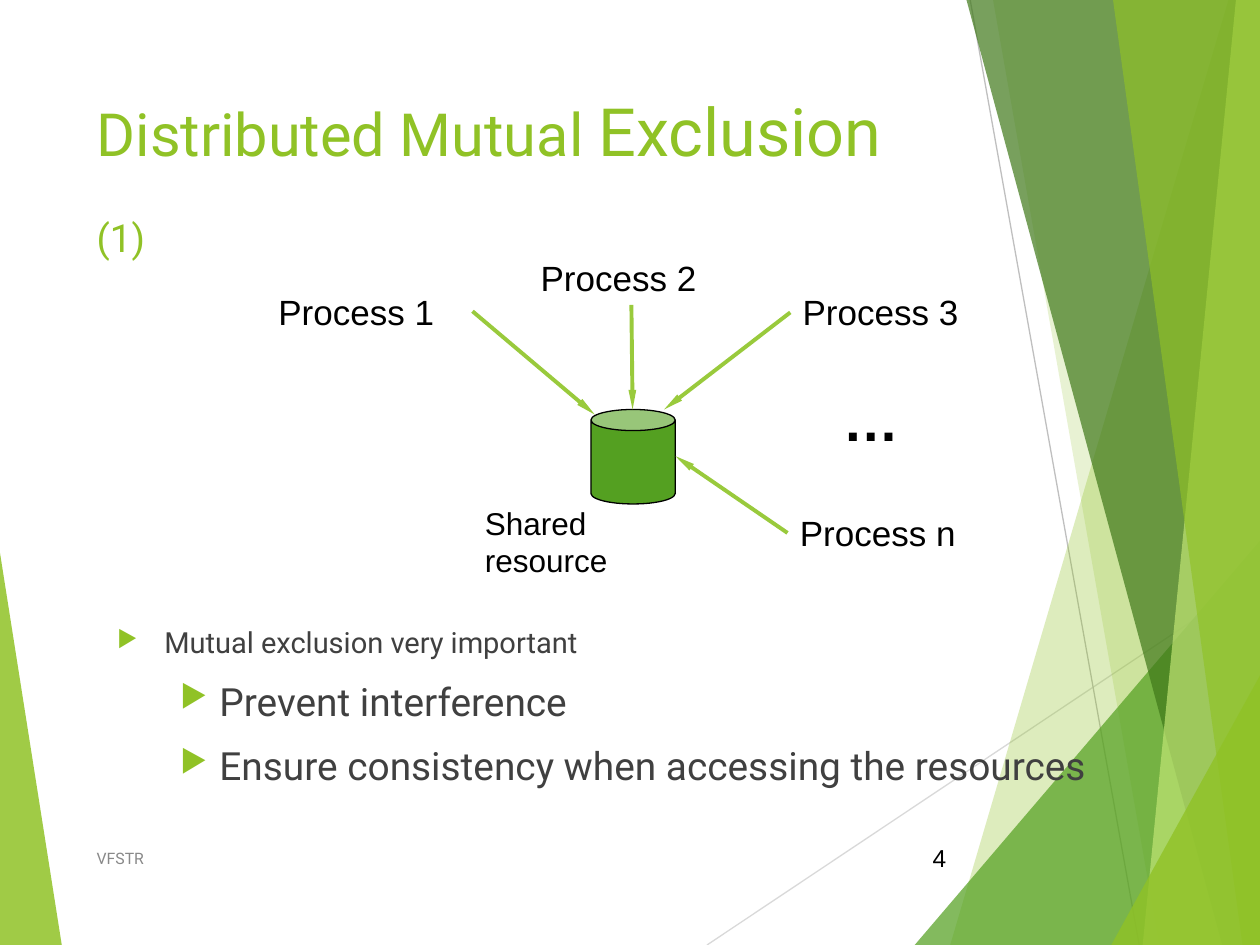
from lxml import etree
from pptx import Presentation
from pptx.dml.color import RGBColor
from pptx.enum.shapes import MSO_CONNECTOR, MSO_SHAPE
from pptx.enum.text import MSO_ANCHOR, MSO_AUTO_SIZE, PP_ALIGN
from pptx.oxml.ns import qn
from pptx.util import Pt

STRAIGHT = MSO_CONNECTOR.STRAIGHT
CAN = MSO_SHAPE.CAN
TOP, MIDDLE = MSO_ANCHOR.TOP, MSO_ANCHOR.MIDDLE
LEFT, RIGHT = PP_ALIGN.LEFT, PP_ALIGN.RIGHT
GROW, FIXED = MSO_AUTO_SIZE.SHAPE_TO_FIT_TEXT, MSO_AUTO_SIZE.NONE
LEFT_SIDE = 1

WIDTH, HEIGHT = 720, 540
GREEN, LEAF, BLACK = "90C226", "54A021", "000000"


def color(hex_string):
    return RGBColor.from_string(hex_string)


def add_format(run, size, font="Roboto", fill=BLACK, bold=False):
    run.font.size = Pt(size)
    run.font.name = font
    run.font.bold = bold
    run.font.color.rgb = color(fill)


def add_text(slide, text, box, wrap=True, anchor=TOP, align=LEFT, **run_format):
    """Place text, one paragraph a line; box is left, top, width, height."""
    shape = slide.shapes.add_textbox(*map(Pt, box))
    frame = shape.text_frame
    frame.word_wrap = wrap
    frame.auto_size = FIXED if wrap else GROW
    frame.vertical_anchor = anchor
    for index, line in enumerate(text.split("\n") if text else []):
        paragraph = frame.paragraphs[0] if index == 0 else frame.add_paragraph()
        paragraph.alignment = align
        run = paragraph.add_run()
        run.text = line
        add_format(run, **run_format)
    return shape


def add_line(slide, start, end, line_color, width, arrow=False):
    connector = slide.shapes.add_connector(STRAIGHT, *map(Pt, (*start, *end)))
    connector.line.color.rgb = color(line_color)
    connector.line.width = Pt(width)
    properties = connector._element.spPr
    if arrow:
        etree.SubElement(properties.find(qn("a:ln")), qn("a:tailEnd"),
                         type="triangle", w="sm", len="lg")
    etree.SubElement(properties, qn("a:effectLst"))
    return connector


def add_facet(slide, points, fill, opacity):
    corners = [(Pt(x), Pt(y)) for x, y in points]
    builder = slide.shapes.build_freeform(*corners[0], scale=1.0)
    builder.add_line_segments(corners[1:], close=True)
    shape = builder.convert_to_shape()
    shape.shadow.inherit = False
    shape.line.fill.background()
    shape.fill.solid()
    shape.fill.fore_color.rgb = color(fill)
    fill_element = shape._element.spPr.find(qn("a:solidFill"))
    etree.SubElement(fill_element[0], qn("a:alpha"), val=str(opacity * 1000))


def add_backdrop(slide, width, height):
    # Left wedge and thin lines
    add_facet(slide, [(0, 316), (35.3, height), (0, height)], GREEN, 85)
    add_line(slide, (404, height), (width, 329), "D9D9D9", 0.75)
    add_line(slide, (554.4, 0), (651, height), "BFBFBF", 0.75)

    # Bands from top to bottom: x at the top, x at the bottom
    def band(top_x, bottom_x, fill, opacity):
        add_facet(slide, [(top_x, 0), (bottom_x, height), (width, height),
                          (width, 0)], fill, opacity)

    # Triangles in the lower right corner: x at the bottom, y at the right
    def corner(bottom_x, right_y, fill, opacity):
        add_facet(slide, [(bottom_x, height), (width, right_y),
                          (width, height)], fill, opacity)

    band(702, 543, GREEN, 30)
    band(567.5, 662.5, GREEN, 20)
    corner(522.7, 309, LEAF, 72)
    band(552.3, 698.4, "3F7819", 70)
    band(706.3, 653, "C0E474", 70)
    band(636, 710, GREEN, 65)
    corner(635, 386, GREEN, 80)


def add_title(slide, box):
    shape = add_text(slide, "", box, anchor=MIDDLE)
    paragraph = shape.text_frame.paragraphs[0]
    for text, size in (("Distributed Mutual ", 34), ("Exclusion", 38), ("(1)", 38)):
        if text == "(1)":
            paragraph.add_line_break()
        run = paragraph.add_run()
        run.text = text
        add_format(run, size, fill=GREEN)
    run.font._element.set("baseline", "-25000")


def add_diagram(slide, box):
    left, top, width, height = box

    def label(text, x, y, w=103.7, h=31.7, **run_format):
        settings = {"size": 20, "font": "Arial", **run_format}
        return add_text(slide, text, (left + x, top + y, w, h), wrap=False, **settings)

    def arrow(start, end):
        return add_line(slide, (left + start[0], top + start[1]),
                        (left + end[0], top + end[1]), "99CA3C", 2.25, arrow=True)

    # Shared resource
    can = slide.shapes.add_shape(CAN, Pt(left + 185.7), Pt(top + 90.7), Pt(48.2), Pt(54))
    can.shadow.inherit = False
    can.adjustments[0] = 0.25
    can.fill.solid()
    can.fill.fore_color.rgb = color(LEAF)
    can.line.color.rgb = color(BLACK)
    can.line.width = Pt(0.75)
    label("Shared\nresource", 118, 141, 89.3, 50.4, size=18)

    # Processes
    label("Process 2", 149.8, 0)
    label("Process 1", 0, 19.4)
    third = label("Process 3", 299.6, 19.4)
    last = label("Process n", 298, 145.4)
    label("…", 322.6, 73.4, 46, 46, size=32, bold=True)

    # Requests to the resource
    arrow((299.6, 34.6), (227.5, 90.7)).begin_connect(third, LEFT_SIDE)
    arrow((208.8, 31), (209.5, 90.7))
    arrow((118, 34.6), (187.9, 93.6))
    arrow((298, 160.6), (234, 117.4)).begin_connect(last, LEFT_SIDE)


def add_bullets(slide, box):
    # Level, size, text
    items = [(0, 16.6, "Mutual exclusion very important"),
             (1, 22.2, "Prevent interference"),
             (1, 22.2, "Ensure consistency when accessing the resources")]
    margins = [(27, -27), (58.5, -22.5)]
    shape = add_text(slide, "\n".join(item[2] for item in items), box,
                     size=22.2, fill="404040")
    for index, (level, size, _) in enumerate(items):
        paragraph = shape.text_frame.paragraphs[index]
        paragraph.level = level
        paragraph.runs[0].font.size = Pt(size)
        if index:
            paragraph.space_before = Pt(10)
        properties = paragraph._p.get_or_add_pPr()
        margin, indent = margins[level]
        properties.set("marL", str(Pt(margin)))
        properties.set("indent", str(Pt(indent)))
        bullet_color = etree.SubElement(properties, qn("a:buClr"))
        etree.SubElement(bullet_color, qn("a:srgbClr"), val=GREEN)
        etree.SubElement(properties, qn("a:buSzPct"), val="80000")
        etree.SubElement(properties, qn("a:buChar"), char="▶")


def add_footer(slide, box):
    left, top, width, height = box
    add_text(slide, "VFSTR", (left, top, 364.3, height), anchor=MIDDLE,
             size=9, fill="898989")
    add_text(slide, "4", (left + width - 40.3, top, 40.3, height), anchor=MIDDLE,
             align=RIGHT, size=14, font="Arial")


def main():
    presentation = Presentation()
    presentation.slide_width, presentation.slide_height = Pt(WIDTH), Pt(HEIGHT)
    slide = presentation.slides.add_slide(presentation.slide_layouts[6])
    add_backdrop(slide, WIDTH, HEIGHT)
    add_title(slide, (48.2, 48.2, 499.7, 103.7))
    add_bullets(slide, (59.8, 353.5, 612, 132.5))
    add_diagram(slide, (152, 143.3, 403.3, 191.4))
    add_footer(slide, (48.2, 476, 499.7, 28.8))
    presentation.save("out.pptx")


if __name__ == "__main__":
    main()
